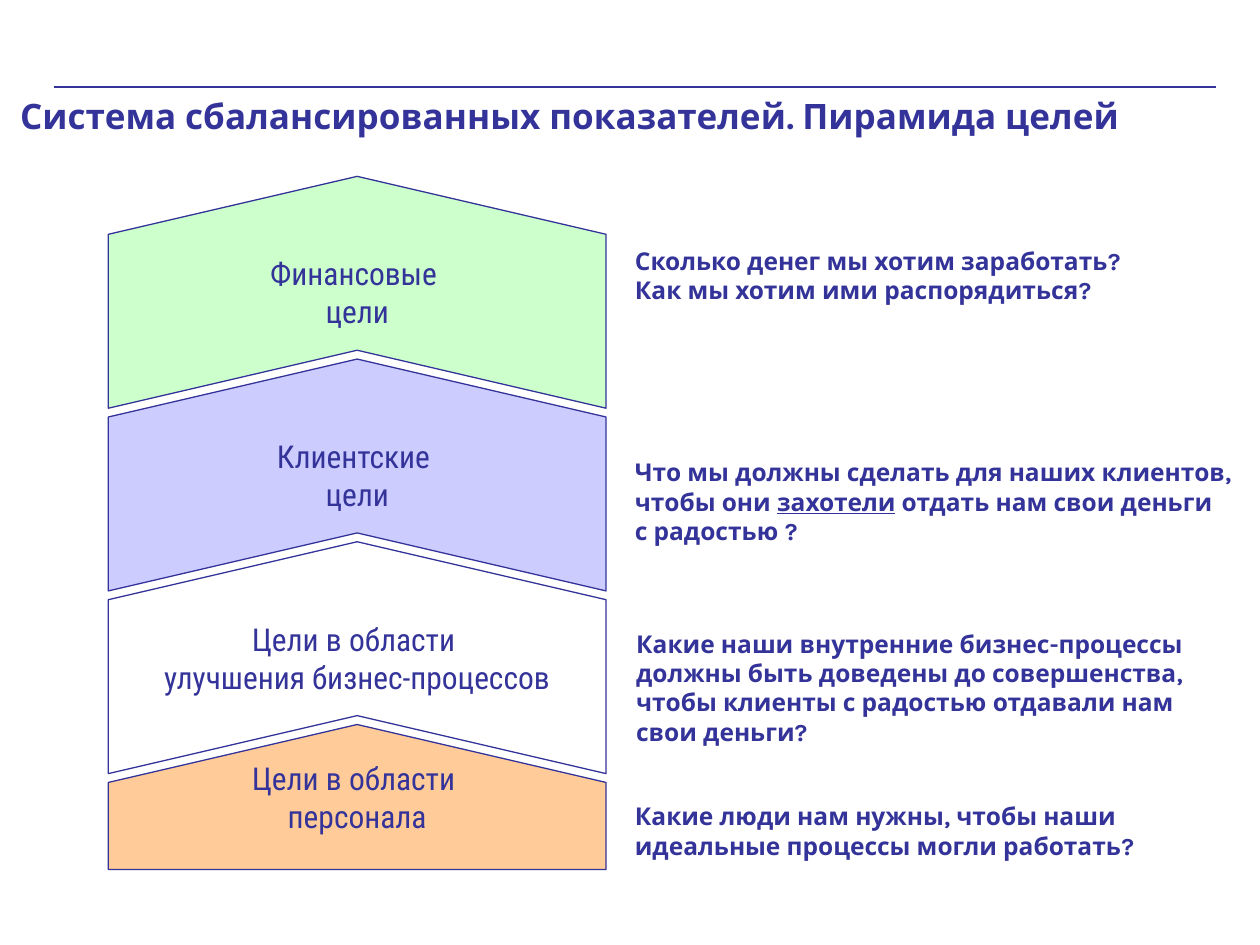
import pptx
import pptx.dml.color
import pptx.enum.shapes
import pptx.enum.text
import pptx.oxml
import pptx.util

Inches = pptx.util.Inches
Pt = pptx.util.Pt
ALIGN = pptx.enum.text.PP_ALIGN
ANCHOR = pptx.enum.text.MSO_ANCHOR
AUTO = pptx.enum.text.MSO_AUTO_SIZE

INK = "333399"
TITLE = {"name": "Karla", "size": Pt(20), "bold": True}
QUESTION = {"name": "Karla", "size": Pt(14), "bold": True}
LEVEL = {"name": "Roboto Condensed", "size": Pt(18), "bold": False}

LEFT, WIDTH = 0.86, 3.95
TOP, PITCH, HEIGHT, SLOPE = 1.4, 1.45, 1.84, 0.46
LEVELS = [
    ("CCFFCC", ["Финансовые ", "цели"]),
    ("CCCCFF", ["Клиентские ", "цели"]),
    ("FFFFFF", ["Цели в области ", "улучшения бизнес-процессов"]),
    ("FFCC99", ["Цели в области ", "персонала"]),
]
# Each line is a string, or a list of (text, underlined) runs.
QUESTIONS = [
    ((4.94, 1.9, 4.07, 0.8),
     ["Сколько денег мы хотим заработать?", "Как мы хотим ими распорядиться?"]),
    ((4.94, 3.58, 4.96, 0.8),
     ["Что мы должны сделать для наших клиентов,",
      [("чтобы они ", False), ("захотели", True), (" отдать нам свои деньги", False)],
      "с радостью ?"]),
    ((4.95, 4.94, 4.59, 1.04),
     ["Какие наши внутренние бизнес-процессы", "должны быть доведены до совершенства,",
      "чтобы клиенты с радостью отдавали нам", "свои деньги?"]),
    ((4.94, 6.31, 4.17, 0.57),
     ["Какие люди нам нужны, чтобы наши", "идеальные процессы могли работать?"]),
]


def rgb(value):
    return pptx.dml.color.RGBColor.from_string(value)


def set_attributes(target, values):
    for name, value in values.items():
        setattr(target, name, value)


def write_lines(tf, lines, font, align=ALIGN.LEFT):
    """Write one paragraph for each line."""
    for i, line in enumerate(lines):
        p = tf.paragraphs[0] if i == 0 else tf.add_paragraph()
        set_attributes(p, {"alignment": align, "space_before": Pt(0)})
        for text, underlined in [(line, False)] if isinstance(line, str) else line:
            r = p.add_run()
            r.text = text
            set_attributes(r.font, font)
            r.font.color.rgb = rgb(INK)
            if underlined:
                r.font.underline = True


def add_header(s, left, top, width, height):
    rule = s.shapes.add_connector(pptx.enum.shapes.MSO_CONNECTOR.STRAIGHT,
                                  Inches(0.43), Inches(0.69), Inches(9.65), Inches(0.69))
    rule.line.color.rgb = rgb(INK)
    rule.line.width = Pt(0.75)
    rule._element.spPr.append(pptx.oxml.parse_xml(
        '<a:effectLst xmlns:a="http://schemas.openxmlformats.org/drawingml/2006/main"/>'))
    title = s.shapes.title
    set_attributes(title, {"left": Inches(left), "top": Inches(top),
                           "width": Inches(width), "height": Inches(height)})
    tf = title.text_frame
    set_attributes(tf, {"word_wrap": True, "vertical_anchor": ANCHOR.TOP,
                        "auto_size": AUTO.NONE})
    write_lines(tf, ["Система сбалансированных показателей. Пирамида целей"], TITLE)


def add_level(s, left, top, width, height, fill, lines, notched):
    """Draw one upward-pointing block; all but the base are notched below."""
    middle, right, bottom = left + width / 2, left + width, top + height
    points = [(left, top + SLOPE), (middle, top), (right, top + SLOPE), (right, bottom)]
    if notched:
        points.append((middle, bottom - SLOPE))
    builder = s.shapes.build_freeform(Inches(left), Inches(bottom))
    builder.add_line_segments([(Inches(x), Inches(y)) for x, y in points], close=True)
    sp = builder.convert_to_shape()
    sp.shadow.inherit = False
    sp.fill.solid()
    sp.fill.fore_color.rgb = rgb(fill)
    sp.line.color.rgb = rgb(INK)
    sp.line.width = Pt(0.75)
    tf = sp.text_frame
    set_attributes(tf, {"word_wrap": False, "vertical_anchor": ANCHOR.MIDDLE})
    write_lines(tf, lines, LEVEL, ALIGN.CENTER)


def add_pyramid(s, left, top, width, bottom):
    """Stack the levels from the base up."""
    base = len(LEVELS) - 1
    for i, (fill, lines) in reversed(list(enumerate(LEVELS))):
        y = top + i * PITCH
        height = bottom - y if i == base else HEIGHT
        add_level(s, left, y, width, height, fill, lines, i != base)


def add_question(s, box, lines):
    tf = s.shapes.add_textbox(*map(Inches, box)).text_frame
    set_attributes(tf, {"word_wrap": False, "auto_size": AUTO.SHAPE_TO_FIT_TEXT})
    write_lines(tf, lines, QUESTION)


def main():
    prs = pptx.Presentation()
    prs.slide_width, prs.slide_height = Inches(10), Inches(7.5)
    s = prs.slides.add_slide(prs.slide_layouts.get_by_name("Title Only"))
    add_header(s, 0.06, 0.7, 9.7, 0.44)
    add_pyramid(s, LEFT, TOP, WIDTH, 6.9)
    for box, lines in QUESTIONS:
        add_question(s, box, lines)
    prs.save("out.pptx")


if __name__ == "__main__":
    main()
